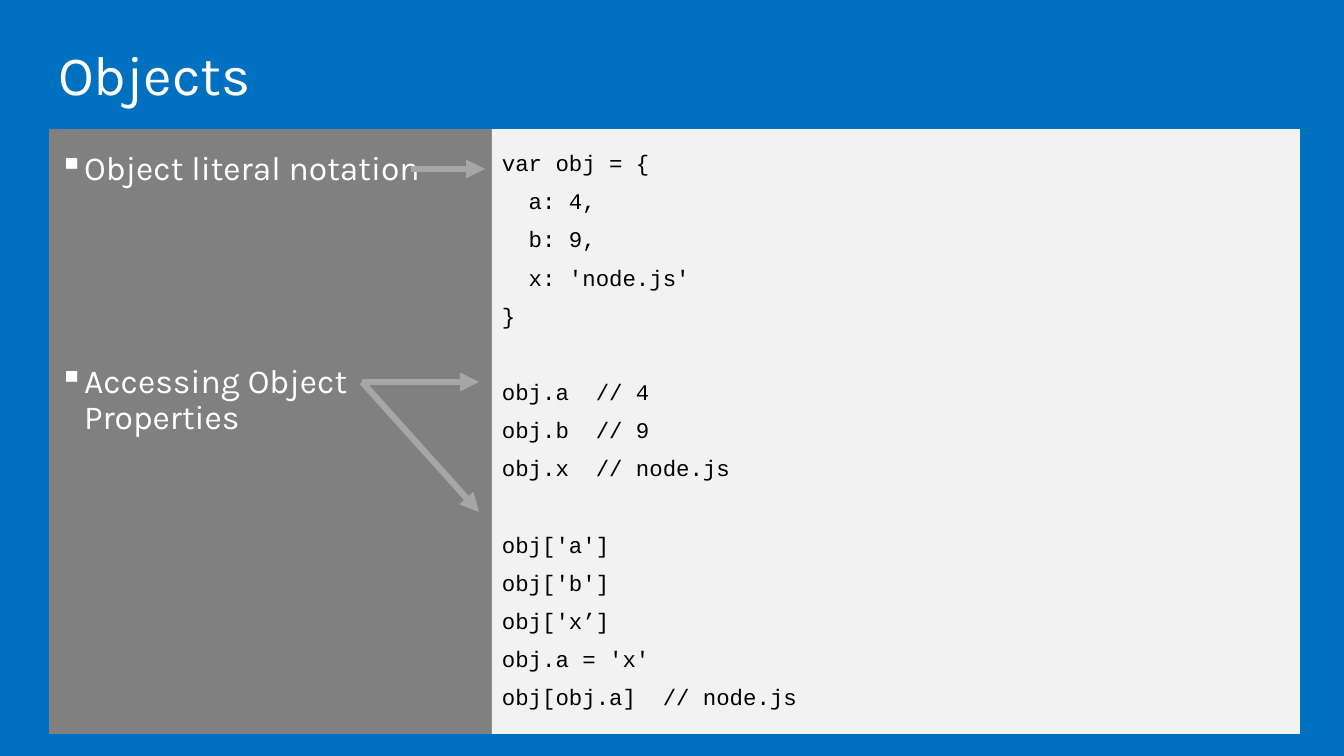
"""Build the slide on object literals and property access."""
from lxml.etree import SubElement
from pptx import Presentation
from pptx.dml.color import RGBColor
from pptx.enum.shapes import MSO_CONNECTOR as Line, MSO_SHAPE as Preset
from pptx.enum.text import MSO_ANCHOR as Anchor, PP_ALIGN as Align
from pptx.oxml.ns import qn
from pptx.util import Pt

SCALE = 914400 / 100.8
THEME = {
    "blue": RGBColor.from_string("0070C0"),
    "gray": RGBColor.from_string("808080"),
    "pale": RGBColor.from_string("F2F2F2"),
    "arrow": RGBColor.from_string("A6A6A6"),
    "white": RGBColor.from_string("FFFFFF"),
    "black": RGBColor.from_string("000000"),
    "sans": "Karla",
    "mono": "Courier New",
    "title": Pt(39.6),
    "topic": Pt(24),
    "code": Pt(16),
    "arrow width": Pt(4.5),
}


def px(length):
    return round(length * SCALE)


def add_panel(place, fill, anchor, top_inset, lines, font, size, color):
    box = page.shapes.add_shape(Preset.RECTANGLE, *map(px, place))
    box.shadow.inherit = False
    box.line.fill.background()
    if fill:
        box.fill.solid()
        box.fill.fore_color.rgb = THEME[fill]
    else:
        box.fill.background()
    frame = box.text_frame
    frame_format = {
        "word_wrap": True, "vertical_anchor": anchor,
        "margin_left": px(10), "margin_right": px(10),
        "margin_top": px(top_inset), "margin_bottom": px(5),
    }
    for name, value in frame_format.items():
        setattr(frame, name, value)
    for index, (text, gap) in enumerate(lines):
        para = frame.add_paragraph() if index else frame.paragraphs[0]
        para_format = {"alignment": Align.LEFT, "line_spacing": 0.9, "space_before": Pt(gap)}
        for name, value in para_format.items():
            setattr(para, name, value)
        span = para.add_run()
        span.text = text
        for name, value in {"name": THEME[font], "size": THEME[size]}.items():
            setattr(span.font, name, value)
        span.font.color.rgb = THEME[color]
    return frame


deck = Presentation()
deck.slide_width, deck.slide_height = px(1344), px(756)
page = deck.slides.add_slide(deck.slide_layouts[6])
page.background.fill.solid()
page.background.fill.fore_color.rgb = THEME["blue"]

add_panel((48, 40, 1251, 74), None, Anchor.MIDDLE, 5,
          [("Objects", 0)], "sans", "title", "white")

topics = [("Object literal notation", 0), ("Accessing Object Properties", 126.5)]
topic_frame = add_panel((49, 129, 443, 605), "gray", Anchor.TOP, 22,
                        topics, "sans", "topic", "white")
for para in topic_frame.paragraphs:
    props = para._p.get_or_add_pPr()
    props.set("marL", str(px(25)))
    props.set("indent", str(-px(25)))
    SubElement(props, qn("a:buChar")).set("char", "▪")

code_groups = [
    ["var obj = {", "  a: 4,", "  b: 9,", "  x: 'node.js'", "}"],
    ["obj.a  // 4", "obj.b  // 9", "obj.x  // node.js"],
    ["obj['a']", "obj['b']", "obj['x’]", "obj.a = 'x'", "obj[obj.a]  // node.js"],
]
LINE_GAP, GROUP_GAP = 10, 37.2
code_lines = []
for group_index, group in enumerate(code_groups):
    for line_index, text in enumerate(group):
        starts_group = group_index > 0 and line_index == 0
        code_lines.append((text, GROUP_GAP if starts_group else LINE_GAP))
add_panel((492, 129, 808, 605), "pale", Anchor.MIDDLE, 5,
          code_lines, "mono", "code", "black")

arrows = [(411, 169, 485, 169), (362, 382, 479, 382), (362, 382, 479, 512)]
for ends in arrows:
    arrow = page.shapes.add_connector(Line.STRAIGHT, *map(px, ends))
    arrow.line.color.rgb = THEME["arrow"]
    arrow.line.width = THEME["arrow width"]
    SubElement(arrow.line._get_or_add_ln(), qn("a:tailEnd")).set("type", "triangle")
    SubElement(arrow._element.spPr, qn("a:effectLst"))

deck.save("out.pptx")
